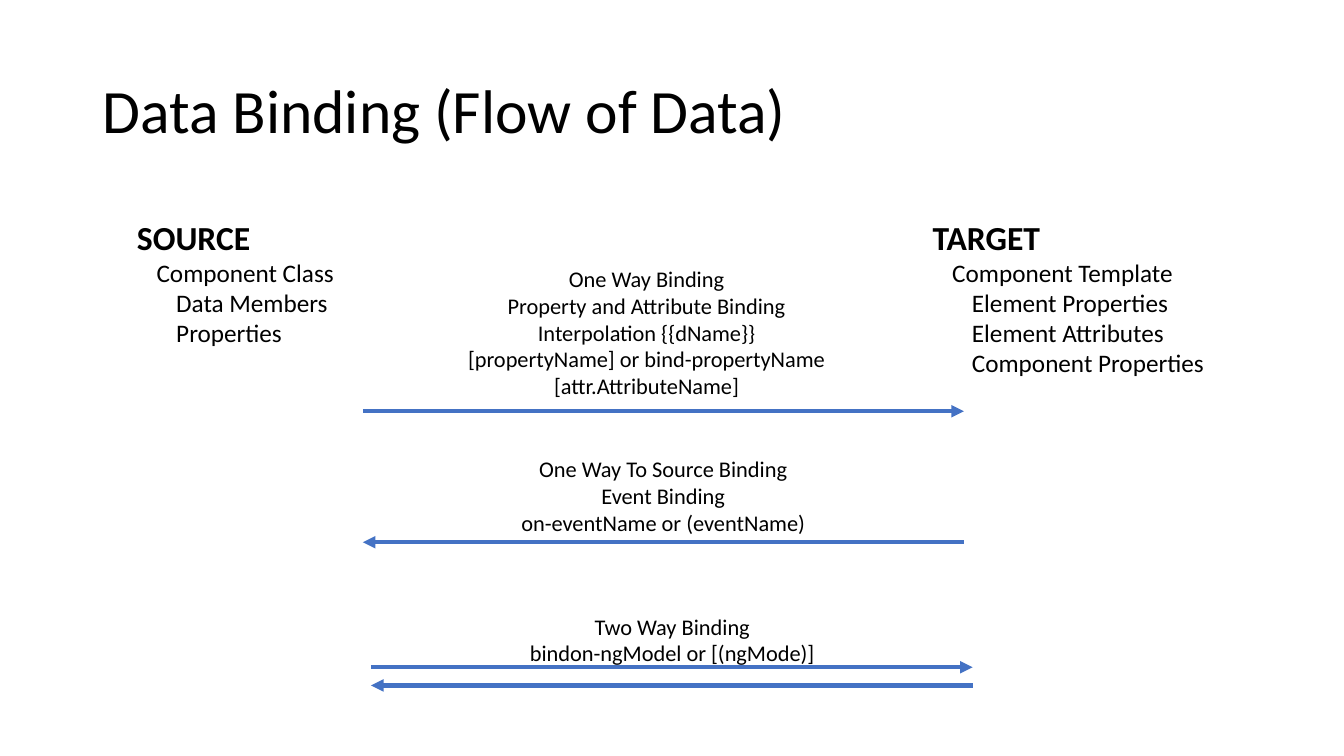
from lxml import etree
from pptx import Presentation
from pptx.dml.color import RGBColor
from pptx.enum.shapes import MSO_CONNECTOR
from pptx.enum.text import MSO_ANCHOR, MSO_AUTO_SIZE, PP_ALIGN
from pptx.oxml.ns import qn
from pptx.util import Inches, Pt

STRAIGHT = MSO_CONNECTOR.STRAIGHT
MIDDLE = MSO_ANCHOR.MIDDLE
NO_FIT = MSO_AUTO_SIZE.NONE
GROW = MSO_AUTO_SIZE.SHAPE_TO_FIT_TEXT
LEFT = PP_ALIGN.LEFT
CENTER = PP_ALIGN.CENTER

BLACK = RGBColor(0x00, 0x00, 0x00)
BLUE = RGBColor(0x44, 0x72, 0xC4)
COLUMNS, ROWS = 40, 30
INDENT = Inches(0.195)

ENDPOINTS = [
    ("SOURCE", (3.78, 8.4, 6.54, 5.64),
     ["Component Class", "Data Members", "Properties"]),
    ("TARGET", (27.46, 8.4, 8.76, 6.88),
     ["Component Template", "Element Properties", "Element Attributes",
      "Component Properties"]),
]
BINDINGS = [
    ((13.56, 10.32, 11.37, 5.8),
     ["One Way Binding", "Property and Attribute Binding",
      "Interpolation {{dName}}", "[propertyName] or bind-propertyName",
      "[attr.AttributeName]"]),
    ((15.15, 17.88, 9.18, 3.64),
     ["One Way To Source Binding", "Event Binding",
      "on-eventName or (eventName)"]),
    ((15.42, 24.12, 9.18, 2.56),
     ["Two Way Binding", "bindon-ngModel or [(ngMode)]"]),
]
ARROWS = [
    (10.8, 28.69, 16.32),
    (28.69, 10.8, 21.52),
    (11.04, 28.95, 26.48),
    (28.95, 11.04, 27.2),
]


class Deck:
    font = "Calibri"

    def __init__(self):
        self.prs = Presentation()
        self.prs.slide_width = Inches(13.33)
        self.prs.slide_height = Inches(7.5)
        self.s = self.prs.slides.add_slide(self.prs.slide_layouts[5])

    def x(self, columns):
        return round(self.prs.slide_width * columns / COLUMNS)

    def y(self, rows):
        return round(self.prs.slide_height * rows / ROWS)

    def box(self, left, top, width, height):
        return self.x(left), self.y(top), self.x(width), self.y(height)

    def style(self, p, size, align=LEFT, bold=False):
        p.alignment = align
        p.font.name = self.font
        p.font.size = Pt(size)
        p.font.bold = bold
        p.font.color.rgb = BLACK

    def title(self, text, box):
        sp = self.s.shapes.title
        sp.left, sp.top, sp.width, sp.height = self.box(*box)
        tf = sp.text_frame
        tf.text = text
        tf.auto_size = NO_FIT
        tf.vertical_anchor = MIDDLE
        p = tf.paragraphs[0]
        p.line_spacing = 0.9
        self.style(p, 44)

    def text(self, lines, box):
        tf = self.s.shapes.add_textbox(*self.box(*box)).text_frame
        tf.text = "\n".join(lines)
        tf.word_wrap = False
        tf.auto_size = GROW
        return tf.paragraphs

    def endpoint(self, heading, box, items):
        first, *rest = self.text([heading, *items], box)
        self.style(first, 24, bold=True)
        for i, p in enumerate(rest):
            self.style(p, 18)
            level = min(i + 1, 2)
            p._p.get_or_add_pPr().set("marL", str(INDENT * level))

    def binding(self, box, lines):
        for p in self.text(lines, box):
            self.style(p, 16, CENTER)

    def arrow(self, start, end, row):
        sp = self.s.shapes.add_connector(
            STRAIGHT, self.x(start), self.y(row), self.x(end), self.y(row))
        sp.line.color.rgb = BLUE
        sp.line.width = Pt(3)
        ln = sp.line._get_or_add_ln()
        etree.SubElement(ln, qn("a:tailEnd"), type="triangle")
        etree.SubElement(sp._element.spPr, qn("a:effectLst"))


def main():
    deck = Deck()
    deck.title("Data Binding (Flow of Data)", (2.75, 1.6, 34.5, 5.8))
    for endpoint in ENDPOINTS:
        deck.endpoint(*endpoint)
    for arrow in ARROWS:
        deck.arrow(*arrow)
    for binding in BINDINGS:
        deck.binding(*binding)
    deck.prs.save("out.pptx")


if __name__ == "__main__":
    main()
